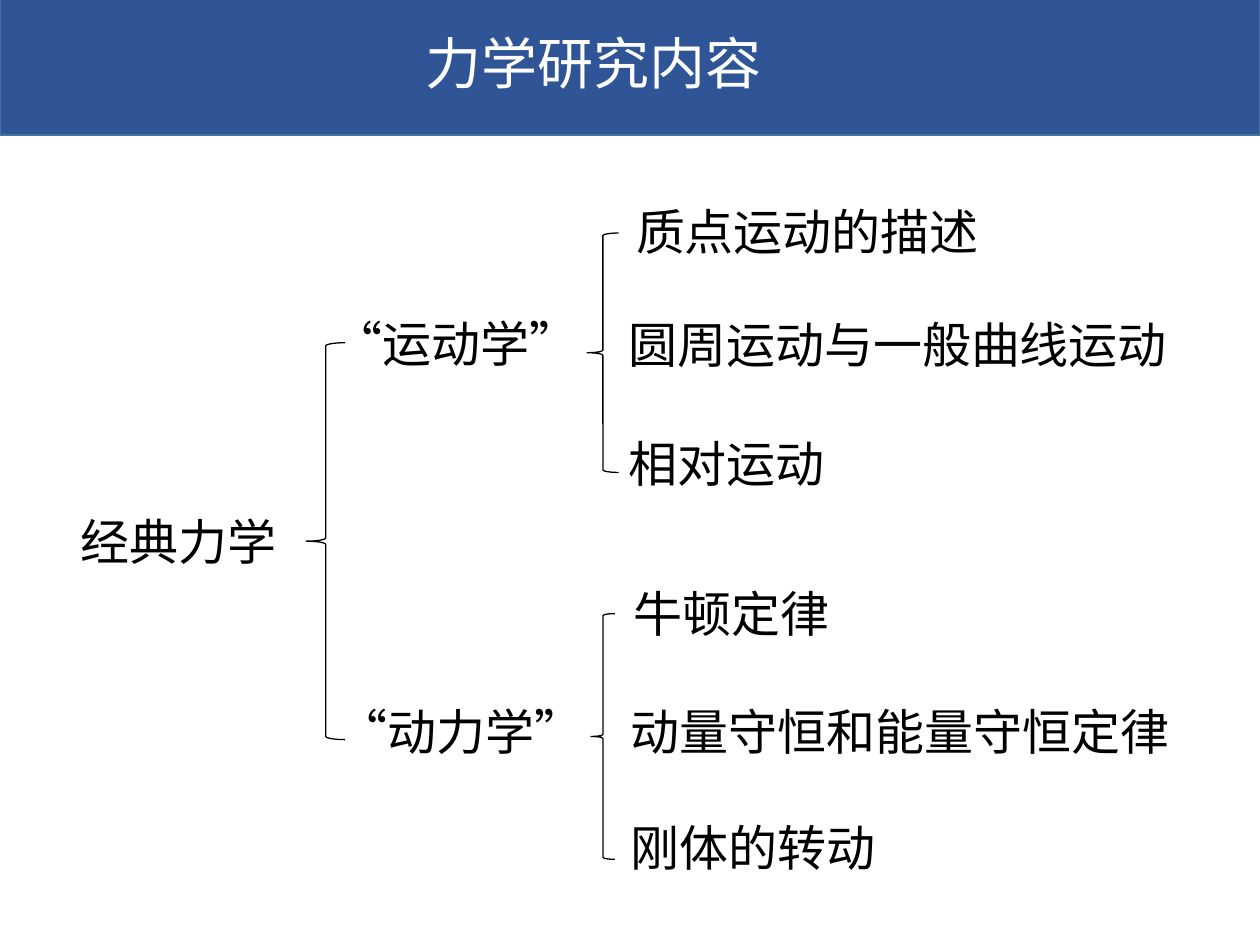
from lxml.etree import SubElement
from pptx import Presentation
from pptx.dml.color import RGBColor
from pptx.enum.shapes import MSO_SHAPE as Shape
from pptx.enum.text import MSO_AUTO_SIZE as AutoSize
from pptx.oxml.ns import qn
from pptx.util import Inches, Pt

COLUMNS, ROWS = 100, 75
SLIDE_WIDTH, SLIDE_HEIGHT = Inches(10), Inches(7.5)
COLORS = {"banner": "2F5597", "banner_edge": "43739E", "ink": "000000", "title": "FFFFFF"}
FONT = "Noto Sans CJK SC"
TOPIC_HEIGHT = 5.7

# text, left, top, width in grid columns and rows
TOPICS = [
    ("经典力学", 5.4, 40.1, 24.4),
    ("“运动学”", 25.5, 24.4, 26),
    ("“动力学”", 25.9, 55.2, 24.4),
    ("质点运动的描述", 49.5, 15.5, 37.7),
    ("圆周运动与一般曲线运动", 48.9, 24.5, 51.1),
    ("相对运动", 48.9, 33.9, 51.1),
    ("牛顿定律", 49.3, 45.8, 37.7),
    ("动量守恒和能量守恒定律", 49.1, 55.2, 46.4),
    ("刚体的转动", 49.1, 64.4, 46.4),
]
# left, top, width, height in grid columns and rows
BRACES = [
    (24.3, 27.2, 3.1, 31.5),
    (46.6, 18.5, 2.5, 19),
    (46.9, 48.7, 1.9, 19.5),
]


def color(name):
    return RGBColor.from_string(COLORS[name])


def place(left, top, width, height):
    """Turn grid columns and rows into slide lengths."""
    column, row = SLIDE_WIDTH / COLUMNS, SLIDE_HEIGHT / ROWS
    return round(left * column), round(top * row), round(width * column), round(height * row)


def add_text(page, text, area, size=28, ink="ink", wrap=True):
    box = page.shapes.add_textbox(*place(*area))
    frame = box.text_frame
    frame.word_wrap = wrap
    frame.auto_size = AutoSize.SHAPE_TO_FIT_TEXT
    para = frame.paragraphs[0]
    para.text = text
    font = para.font
    font.name, font.size = FONT, Pt(size)
    font.color.rgb = color(ink)
    defaults = para._p.pPr.find(qn("a:defRPr"))
    SubElement(defaults, qn("a:ea"), typeface=FONT)


def add_outlined(page, kind, area, line, weight, fill=None):
    shape = page.shapes.add_shape(kind, *place(*area))
    shape.shadow.inherit = False
    shape.line.color.rgb = color(line)
    shape.line.width = Pt(weight)
    if fill:
        shape.fill.solid()
        shape.fill.fore_color.rgb = color(fill)
    else:
        shape.fill.background()


def main():
    deck = Presentation()
    deck.slide_width, deck.slide_height = SLIDE_WIDTH, SLIDE_HEIGHT
    page = deck.slides.add_slide(deck.slide_layouts[6])
    for text, left, top, width in TOPICS:
        add_text(page, text, (left, top, width, TOPIC_HEIGHT))
    for area in BRACES:
        add_outlined(page, Shape.LEFT_BRACE, area, "ink", 0.75)
    add_outlined(page, Shape.RECTANGLE, (0, -0.2, COLUMNS, 10.9), "banner_edge", 1, "banner")
    add_text(page, "力学研究内容", (32.8, 1.8, 28.9, 6.4), 32, "title", wrap=False)
    deck.save("out.pptx")


if __name__ == "__main__":
    main()
